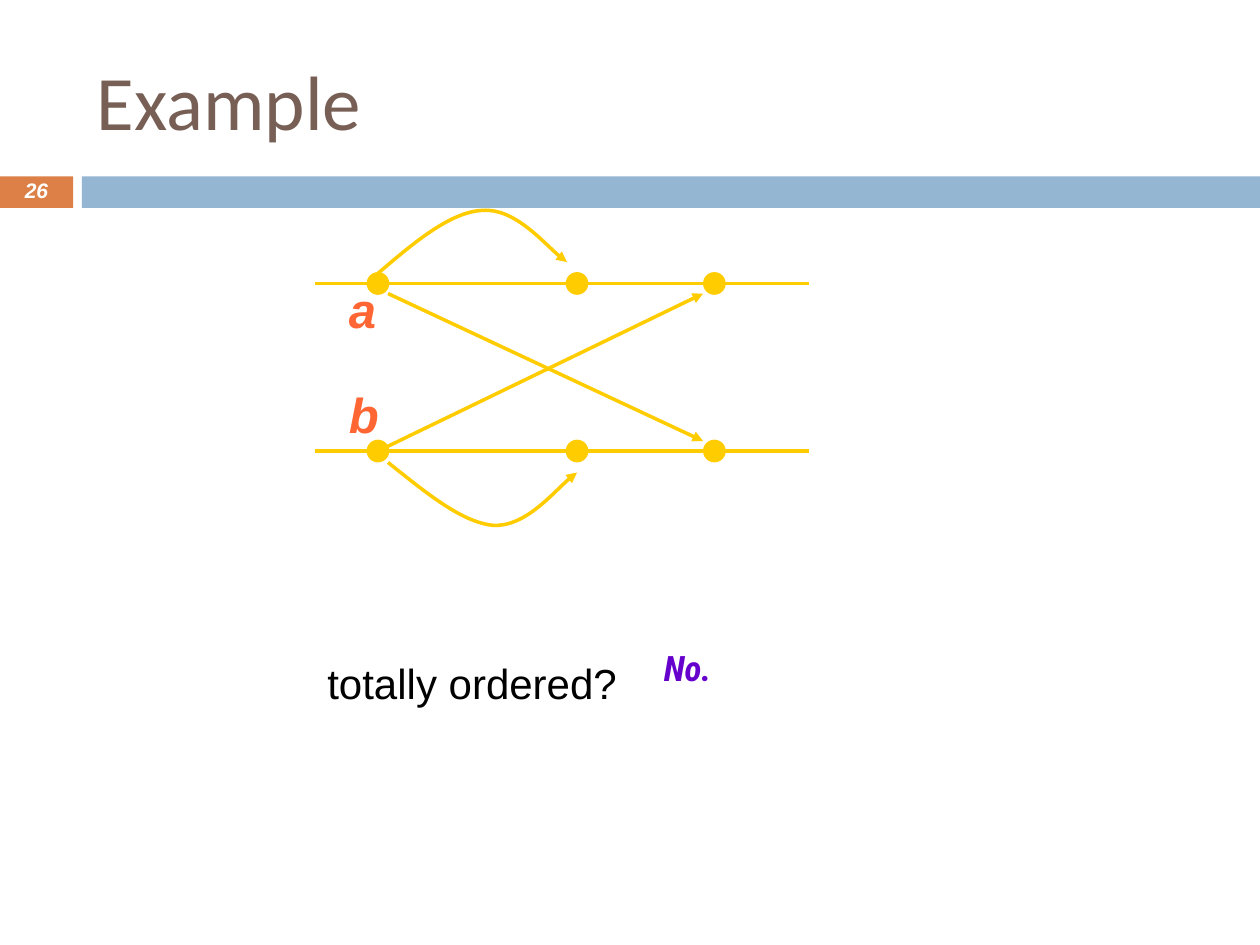
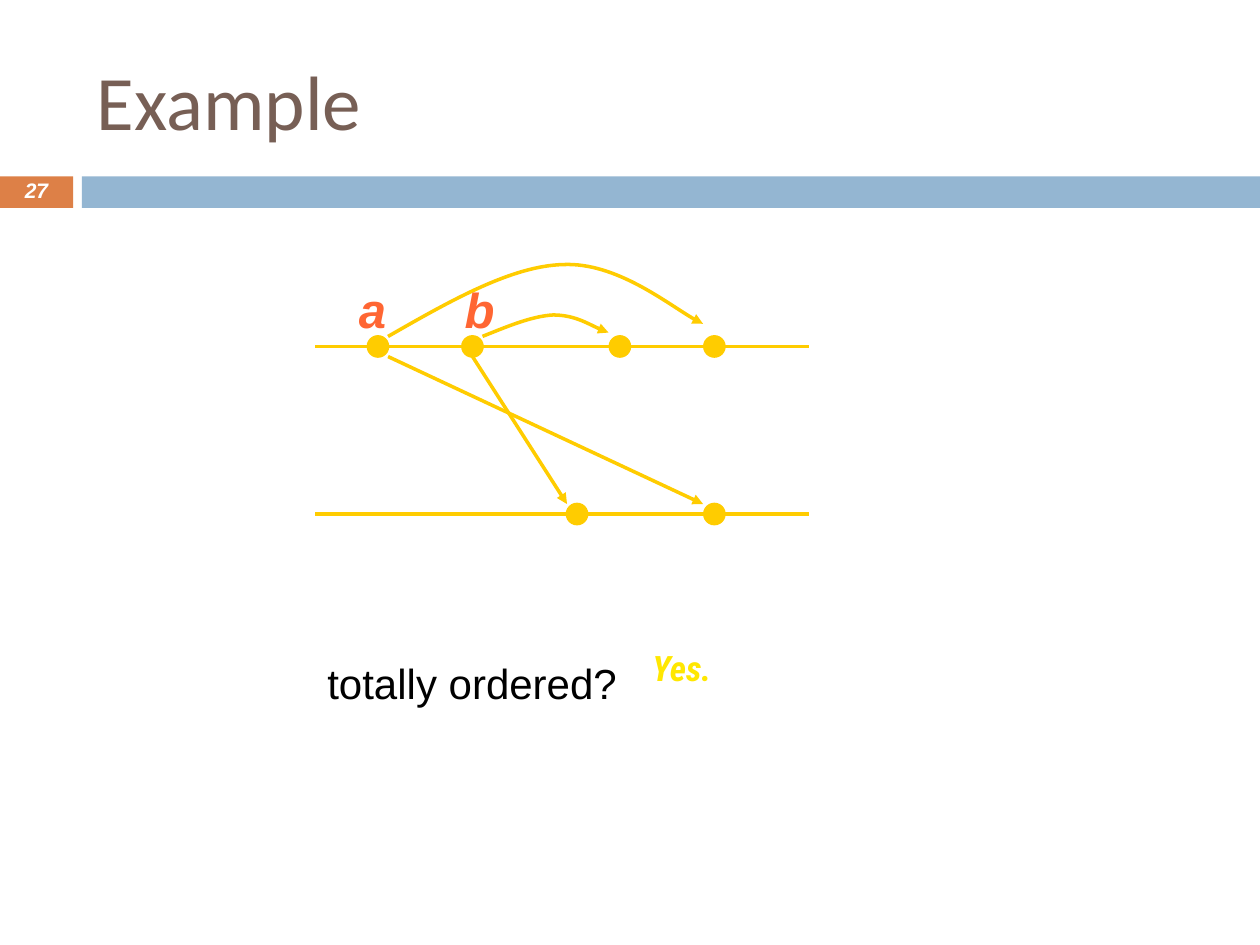
from pptx import Presentation
from pptx.dml.color import RGBColor as RGB
from pptx.enum.shapes import MSO_CONNECTOR as CONN, MSO_SHAPE as SHAPE
from pptx.enum.text import MSO_ANCHOR as ANCHOR, MSO_AUTO_SIZE as FIT, PP_ALIGN as ALIGN
from pptx.oxml.ns import qn
from pptx.util import Inches, Pt
from lxml.etree import SubElement

C = {
    "orange": "DD8047", "blue": "94B6D2", "brown": "775F55",
    "white": "FFFFFF", "black": "000000", "gold": "FFCC00", "label": "FF6633",
}
DOT = 0.17
LINE_LEFT, LINE_RIGHT = 2.5, 6.42

EXAMPLES = [
    {
        "number": "26",
        "events": {2.25: [3, 4.58, 5.67], 3.58: [3, 4.58, 5.67]},
        "arrows": [(3, 3.58, 5.58, 2.33), (3.08, 2.33, 5.58, 3.5)],
        "curves": [
            [(3, 2.17), (3.29, 1.92), (3.58, 1.68), (3.83, 1.67),
             (4.08, 1.65), (4.39, 2.01), (4.5, 2.08)],
            [(3.08, 3.67), (3.38, 3.91), (3.67, 4.15), (3.92, 4.17),
             (4.17, 4.18), (4.47, 3.82), (4.58, 3.75)],
        ],
        "labels": [("a", 2.67, 2.17, 0.41), ("b", 2.67, 3, 0.44)],
        "answer": ("No.", 5.17, 0.58),
        "gradient": ("6600CC", "CC00CC"),
        "outline": "CC99FF",
    },
    {
        "number": "27",
        "events": {2.75: [3, 3.75, 4.92, 5.67], 4.08: [4.58, 5.67]},
        "arrows": [(3.75, 2.83, 4.5, 4), (3.08, 2.83, 5.58, 4)],
        "curves": [
            [(3.83, 2.67), (4.03, 2.59), (4.22, 2.51), (4.39, 2.5),
             (4.56, 2.5), (4.76, 2.62), (4.83, 2.64)],
            [(3.08, 2.67), (3.57, 2.39), (4.06, 2.11), (4.47, 2.1),
             (4.89, 2.08), (5.4, 2.49), (5.58, 2.57)],
        ],
        "labels": [("a", 2.75, 2.17, 0.41), ("b", 3.59, 2.17, 0.44)],
        "answer": ("Yes.", 5.08, 0.83),
        "gradient": ("FFE701", "FE3E02"),
        "outline": "000000",
    },
]


def add_text(s, text, box, size, font, color=None, bold=False, wrap=False, fit=FIT.NONE):
    tb = s.shapes.add_textbox(*map(Inches, box))
    tf = tb.text_frame
    tf.word_wrap = wrap
    tf.auto_size = fit
    p = tf.paragraphs[0]
    p.text = text
    p.font.size = Pt(size)
    p.font.name = font
    p.font.bold = p.font.italic = bold
    if color:
        p.font.color.rgb = RGB.from_string(C[color])
    return tf


def draw_stroke(sp, arrow=True):
    sp.line.color.rgb = RGB.from_string(C["gold"])
    sp.line.width = Pt(2)
    spPr = sp._element.spPr
    if arrow:
        SubElement(spPr.find(qn("a:ln")), qn("a:tailEnd"), type="triangle")
    if spPr.find(qn("a:effectLst")) is None:
        SubElement(spPr, qn("a:effectLst"))


prs = Presentation()
prs.slide_width, prs.slide_height = Inches(10), Inches(7.5)

for ex in EXAMPLES:
    s = prs.slides.add_slide(prs.slide_layouts[6])

    for left, width, color in [(0, 0.58, "orange"), (0.65, 9.35, "blue")]:
        sp = s.shapes.add_shape(SHAPE.RECTANGLE, Inches(left), Inches(1.4), Inches(width), Inches(0.25))
        sp.shadow.inherit = False
        sp.fill.solid()
        sp.fill.fore_color.rgb = RGB.from_string(C[color])
        sp.line.fill.background()

    tf = add_text(s, "Example", (0.67, 0.25, 8.92, 1.08), 44, "Calibri", "brown", wrap=True)
    tf.vertical_anchor = ANCHOR.MIDDLE
    tf = add_text(s, ex["number"], (0, 1.39, 0.58, 0.27), 12, "Arial", "white", bold=True, wrap=True)
    tf.vertical_anchor = ANCHOR.MIDDLE
    tf.paragraphs[0].alignment = ALIGN.CENTER
    tf.paragraphs[0].line_spacing = 0.8

    for y, centers in ex["events"].items():
        sp = s.shapes.add_connector(CONN.STRAIGHT, Inches(LINE_LEFT), Inches(y), Inches(LINE_RIGHT), Inches(y))
        draw_stroke(sp, arrow=False)
        for x in centers:
            sp = s.shapes.add_shape(SHAPE.OVAL, Inches(x - DOT / 2), Inches(y - DOT / 2), Inches(DOT), Inches(DOT))
            sp.shadow.inherit = False
            sp.fill.solid()
            sp.fill.fore_color.rgb = sp.line.color.rgb = RGB.from_string(C["gold"])
            sp.line.width = Pt(0.75)

    for ends in ex["arrows"]:
        draw_stroke(s.shapes.add_connector(CONN.STRAIGHT, *map(Inches, ends)))

    for points in ex["curves"]:
        start, *rest = [(Inches(x), Inches(y)) for x, y in points]
        builder = s.shapes.build_freeform(*start)
        builder.add_line_segments(rest, close=False)
        sp = builder.convert_to_shape()
        sp.shadow.inherit = False
        sp.fill.background()
        outline = next(sp._element.iter(qn("a:path")))
        segments = outline.findall(qn("a:lnTo"))
        for i in range(0, len(segments), 3):
            bezier = SubElement(outline, qn("a:cubicBezTo"))
            for segment in segments[i:i + 3]:
                bezier.append(segment[0])
                outline.remove(segment)
        draw_stroke(sp)

    for name, x, y, width in ex["labels"]:
        add_text(s, name, (x, y, width, 0.57), 28, "Arial", "label", bold=True, fit=FIT.SHAPE_TO_FIT_TEXT)

    add_text(s, "totally ordered?", (2.5, 5.17, 2.5, 0.5), 24, "Arial", "black", fit=FIT.SHAPE_TO_FIT_TEXT)

    answer, x, width = ex["answer"]
    tf = add_text(s, answer, (x, 5.08, width, 0.58), 20, "Roboto Condensed", bold=True)
    r = tf.paragraphs[0].runs[0]
    r.font.fill.gradient()
    r.font.fill.gradient_angle = 270
    for stop, color in zip(r.font.fill.gradient_stops, ex["gradient"]):
        stop.color.rgb = RGB.from_string(color)
    rPr = r._r.get_or_add_rPr()
    ln = SubElement(rPr, qn("a:ln"), w=str(Pt(0.75)))
    SubElement(SubElement(ln, qn("a:solidFill")), qn("a:srgbClr"), val=ex["outline"])
    rPr.insert(0, ln)

prs.save("out.pptx")
